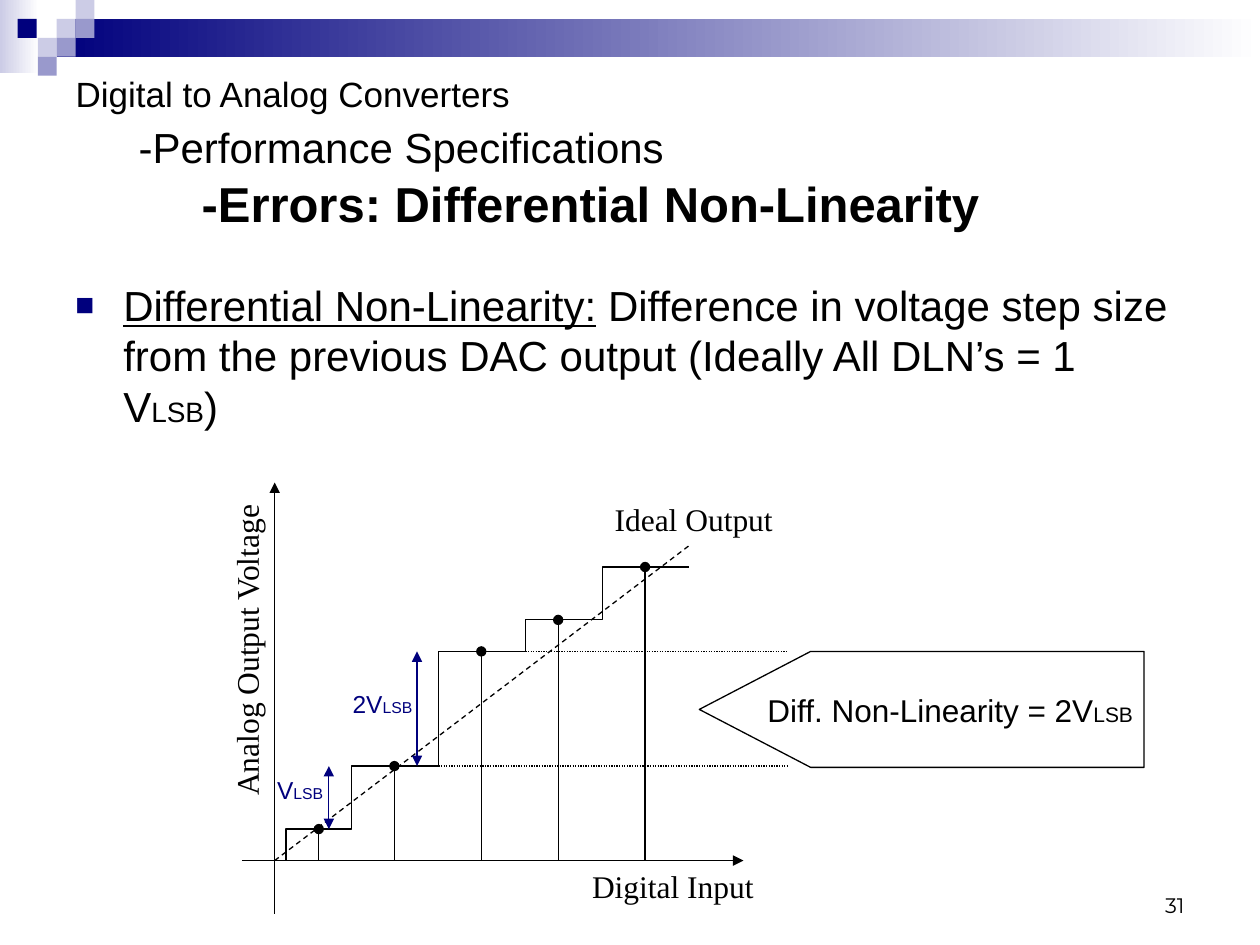
import pptx
import pptx.util
import pptx.dml.color
import pptx.enum.dml
import pptx.enum.shapes
import pptx.enum.text
import pptx.oxml.ns
import lxml.etree as etree

PX = 9144
SHAPE = pptx.enum.shapes.MSO_SHAPE
DASH = pptx.enum.dml.MSO_LINE
ALIGN = pptx.enum.text.PP_ALIGN
ANCHOR = pptx.enum.text.MSO_ANCHOR
BLACK, NAVY, LILAC, VIOLET, WHITE = "000000", "00007D", "CCCCE6", "9999CC", "FFFFFF"
SERIF = "Times New Roman"


def rgb(value):
    return pptx.dml.color.RGBColor.from_string(value)


def sub(parent, tag, **attrs):
    return etree.SubElement(parent, pptx.oxml.ns.qn(tag), attrs)


class Deck:
    """Draws styled elements on the current slide, with lengths in hundredths of an inch."""

    def __init__(self, width, height):
        self.prs = pptx.Presentation()
        self.prs.slide_width, self.prs.slide_height = width * PX, height * PX
        self.s = self.prs.slides.add_slide(self.prs.slide_layouts[5])

    def stroke(self, sp, color=BLACK, dash=None):
        sp.line.color.rgb = rgb(color)
        sp.line.width = pptx.util.Pt(0.75)
        if dash:
            sp.line.dash_style = dash

    def fill_text(self, sp, runs, color=BLACK, font="Arial", align=ALIGN.LEFT,
                  anchor=ANCHOR.TOP, wrap=True):
        tf = sp.text_frame
        frame = {"word_wrap": wrap, "vertical_anchor": anchor,
                 "auto_size": pptx.enum.text.MSO_AUTO_SIZE.NONE}
        for name, value in frame.items():
            setattr(tf, name, value)
        p = tf.paragraphs[0]
        p.alignment = align
        for text, size, *style in runs:
            if text == "\n":
                p.add_line_break()
                sub(p._p[-1], "a:rPr", sz=str(size * 100))
                continue
            r = p.add_run()
            r.text = text
            fmt = {"name": font, "size": pptx.util.Pt(size),
                   "bold": "bold" in style, "underline": "underline" in style}
            for name, value in fmt.items():
                setattr(r.font, name, value)
            r.font.color.rgb = rgb(color)
        return p

    def title(self, box, runs):
        sp = self.s.shapes.title
        for name, value in zip(("left", "top", "width", "height"), box):
            setattr(sp, name, value * PX)
        self.fill_text(sp, runs, anchor=ANCHOR.MIDDLE)

    def text(self, box, runs, rotation=0, **style):
        sp = self.s.shapes.add_textbox(*(v * PX for v in box))
        sp.rotation = rotation
        return self.fill_text(sp, runs, **style)

    def bullet(self, box, runs, indent):
        pPr = self.text(box, runs)._p.get_or_add_pPr()
        pPr.set("marL", str(indent * PX))
        pPr.set("indent", str(-indent * PX))
        sub(sub(pPr, "a:buClr"), "a:srgbClr", val=NAVY)
        sub(pPr, "a:buSzPct", val="75000")
        sub(pPr, "a:buFont", typeface="Arial")
        sub(pPr, "a:buChar", char="■")

    def shape(self, kind, box):
        sp = self.s.shapes.add_shape(kind, *(v * PX for v in box))
        sp.shadow.inherit = False
        return sp

    def block(self, box, *colors):
        sp = self.shape(SHAPE.RECTANGLE, box)
        sp.line.fill.background()
        if len(colors) == 1:
            sp.fill.solid()
            sp.fill.fore_color.rgb = rgb(colors[0])
            return
        sp.fill.gradient()
        sp.fill.gradient_angle = 0
        for stop, color in zip(sp.fill.gradient_stops, colors):
            stop.color.rgb = rgb(color)

    def line(self, x1, y1, x2, y2, color=BLACK, dash=None, head=None, tail=None):
        sp = self.s.shapes.add_connector(
            pptx.enum.shapes.MSO_CONNECTOR.STRAIGHT, *(v * PX for v in (x1, y1, x2, y2)))
        self.stroke(sp, color, dash)
        for tag, end in (("a:headEnd", head), ("a:tailEnd", tail)):
            if end:
                sub(sp.line._get_or_add_ln(), tag, type=end)
        sub(sp._element.spPr, "a:effectLst")

    def polyline(self, points):
        fb = self.s.shapes.build_freeform(*points[0], scale=PX)
        fb.add_line_segments(points[1:], close=False)
        sp = fb.convert_to_shape()
        sp.shadow.inherit = False
        sp.fill.background()
        self.stroke(sp)

    def callout(self, box, runs, adjust):
        sp = self.shape(SHAPE.PENTAGON, box)
        sp.adjustments[0] = adjust
        sp.rotation = 180
        sp.fill.background()
        self.stroke(sp)
        self.fill_text(sp, runs, anchor=ANCHOR.MIDDLE, wrap=False)
        sp.text_frame._txBody.bodyPr.set("rot", "10800000")


def main():
    d = Deck(1000, 750)
    d.block((0, 0, 31, 58), LILAC, WHITE)
    d.block((45, 15, 955, 30), NAVY, WHITE)
    for x, y, color in ((45, 15, LILAC), (60, 0, LILAC), (60, 15, VIOLET), (30, 30, LILAC),
                        (14, 15, NAVY), (45, 30, VIOLET), (30, 45, VIOLET)):
        d.block((x, y, 15, 15), color)

    d.title((50, 67, 900, 108), [
        ("Digital to Analog Converters", 20), ("\n", 20), ("\t", 28),
        ("-Performance Specifications", 24), ("\n", 24), ("\t\t", 24),
        ("-Errors: Differential Non-Linearity", 28, "bold")])
    d.bullet((50, 217, 892, 133), [
        ("Differential Non-Linearity:", 24, "underline"),
        (" Difference in voltage step size from the previous DAC output "
         "(Ideally All DLN’s = 1 V", 24), ("LSB", 16), (")", 24)], 38)
    d.text((717, 683, 233, 50), [("31", 12)], font="Montserrat",
           align=ALIGN.RIGHT, anchor=ANCHOR.BOTTOM)

    base = 683
    d.line(218, 725, 218, 383, tail="triangle")
    d.line(192, base, 590, base, tail="triangle")
    d.line(218, base, 547, 433, dash=DASH.DASH)

    edges = [227, 279, 348, 417, 478, 547]
    levels = [658, 608, 517, 492, 450]
    stairs = [(edges[0], base)]
    for left, right, y in zip(edges, edges[1:], levels):
        stairs += [(left, y), (right, y)]
    d.polyline(stairs)
    for x, y in zip((253, 313, 382, 443, 512), levels):
        d.line(x, base, x, y, tail="oval")

    for box, label, rotation in (((460, 683, 208, 40), "Digital Input", 0),
                                 ((478, 392, 216, 40), "Ideal Output", 0),
                                 ((58, 484, 275, 40), "Analog Output Voltage", 270)):
        d.text(box, [(label, 18)], rotation, font=SERIF)

    for x, low, high, box, label in ((261, 658, 608, (210, 610, 69, 33), "V"),
                                     (331, 608, 517, (270, 542, 86, 33), "2V")):
        d.line(x, low, x, high, NAVY, head="triangle", tail="triangle")
        d.text(box, [(label, 14), ("LSB", 9)], color=NAVY)

    for x, y in ((417, 517), (348, 608)):
        d.line(x, y, 625, y, dash=DASH.ROUND_DOT)
    d.callout((555, 517, 353, 92), [("Diff. Non-Linearity = 2V", 18), ("LSB", 12)], 0.96)
    d.prs.save("out.pptx")


if __name__ == "__main__":
    main()
